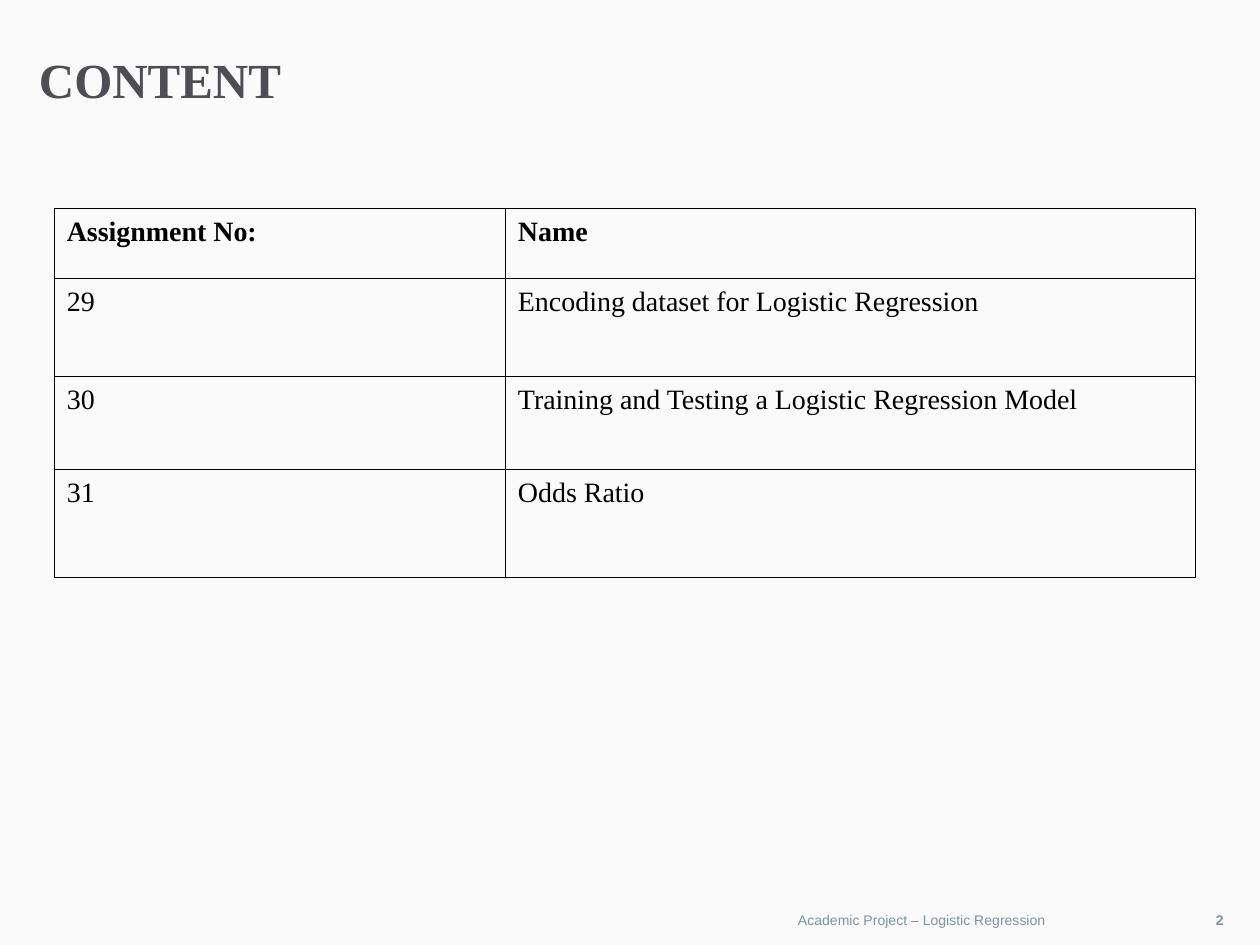
import pptx
import pptx.util
import pptx.dml.color
import pptx.enum.text
import pptx.oxml
import pptx.oxml.ns

Pt = pptx.util.Pt
ALIGN = pptx.enum.text.PP_ALIGN
ANCHOR = pptx.enum.text.MSO_ANCHOR


def color(value):
    return pptx.dml.color.RGBColor.from_string(value)


class Deck:
    serif = "Times New Roman"
    sans = "Arial"
    ink, heading, muted, paper = "000000", "4D4E53", "7A94A3", "FAFAFA"

    def __init__(self, width, height):
        self.prs = pptx.Presentation()
        self.prs.slide_width, self.prs.slide_height = Pt(width), Pt(height)
        self.s = self.prs.slides.add_slide(self.prs.slide_layouts[6])
        fill = self.s.background.fill
        fill.solid()
        fill.fore_color.rgb = color(self.paper)

    def style(self, p, font, size, ink, bold=False):
        for r in p.runs:
            r.font.name, r.font.size, r.font.bold = font, Pt(size), bold
            r.font.color.rgb = color(ink)

    def text(self, box, words, font, size, ink, bold=False,
             align=ALIGN.LEFT, anchor=ANCHOR.TOP, top_inset=0):
        tf = self.s.shapes.add_textbox(*map(Pt, box)).text_frame
        tf.word_wrap = True
        tf.vertical_anchor = anchor
        tf.margin_left = tf.margin_right = tf.margin_bottom = 0
        tf.margin_top = Pt(top_inset)
        tf.text = words
        p = tf.paragraphs[0]
        p.alignment = align
        self.style(p, font, size, ink, bold)

    def borders(self, cell, width):
        tcPr = cell._tc.get_or_add_tcPr()
        for i, side in enumerate(("lnL", "lnR", "lnT", "lnB")):
            tcPr.insert(i, pptx.oxml.parse_xml(
                f'<a:{side} {pptx.oxml.ns.nsdecls("a")} w="{Pt(width)}">'
                f'<a:solidFill><a:srgbClr val="{self.ink}"/></a:solidFill>'
                f'</a:{side}>'))

    def table(self, left, top, widths, heights, rows):
        table = self.s.shapes.add_table(
            len(heights), len(widths), Pt(left), Pt(top),
            Pt(sum(widths)), Pt(sum(heights))).table
        table.horz_banding = False
        for column, width in zip(table.columns, widths):
            column.width = Pt(width)
        for i, (row, height, words) in enumerate(zip(table.rows, heights, rows)):
            row.height = Pt(height)
            for cell, word in zip(row.cells, words):
                cell.fill.background()
                self.borders(cell, 0.5)
                cell.text_frame.text = word
                p = cell.text_frame.paragraphs[0]
                p.line_spacing = Pt(18.8)
                self.style(p, self.serif, 16, self.ink, bold=i == 0)


def main():
    d = Deck(720, 540)

    # Title
    d.text((22.3, 23.8, 566.6, 56.9), "CONTENT", d.serif, 28, d.heading,
           bold=True, top_inset=4.4)

    # Assignments
    d.table(31, 119.2, (257.8, 394.4), (39.8, 56, 53.2, 61.8), (
        ("Assignment No:", "Name"),
        ("29", "Encoding dataset for Logistic Regression"),
        ("30", "Training and Testing a Logistic Regression Model"),
        ("31", "Odds Ratio"),
    ))

    # Footer and page number
    for left, width, words, bold in (
            (337.7, 259.9, "Academic Project – Logistic Regression", False),
            (664.6, 34.6, "2", True)):
        d.text((left, 514.8, width, 21.6), words, d.sans, 8, d.muted, bold,
               ALIGN.RIGHT, ANCHOR.MIDDLE)

    d.prs.save("out.pptx")


if __name__ == "__main__":
    main()
